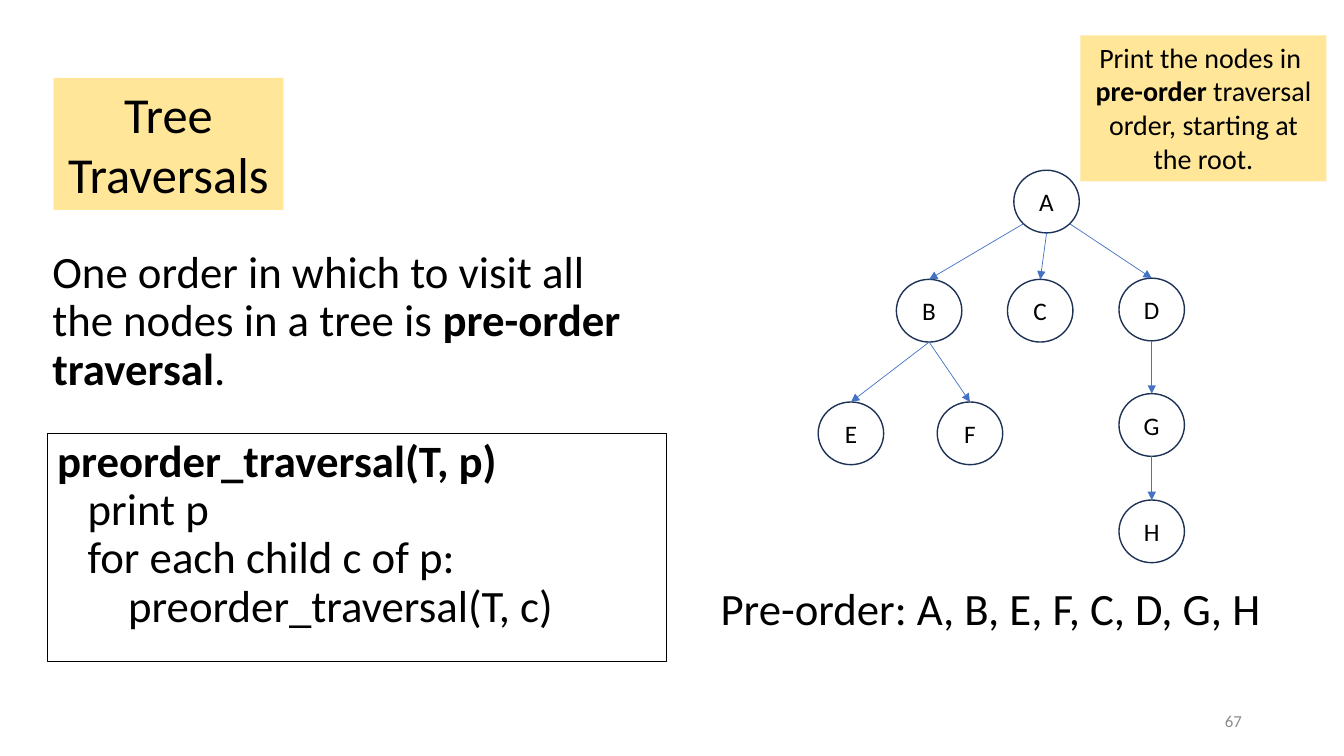
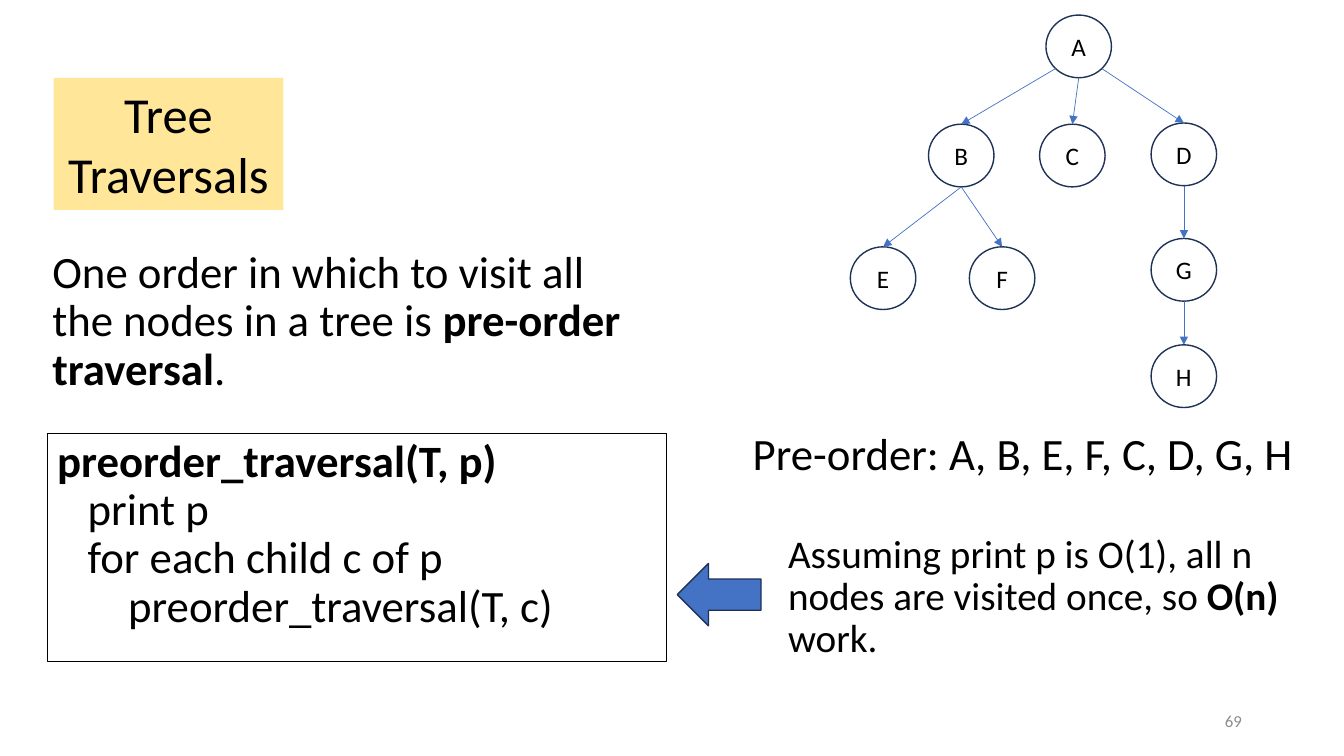
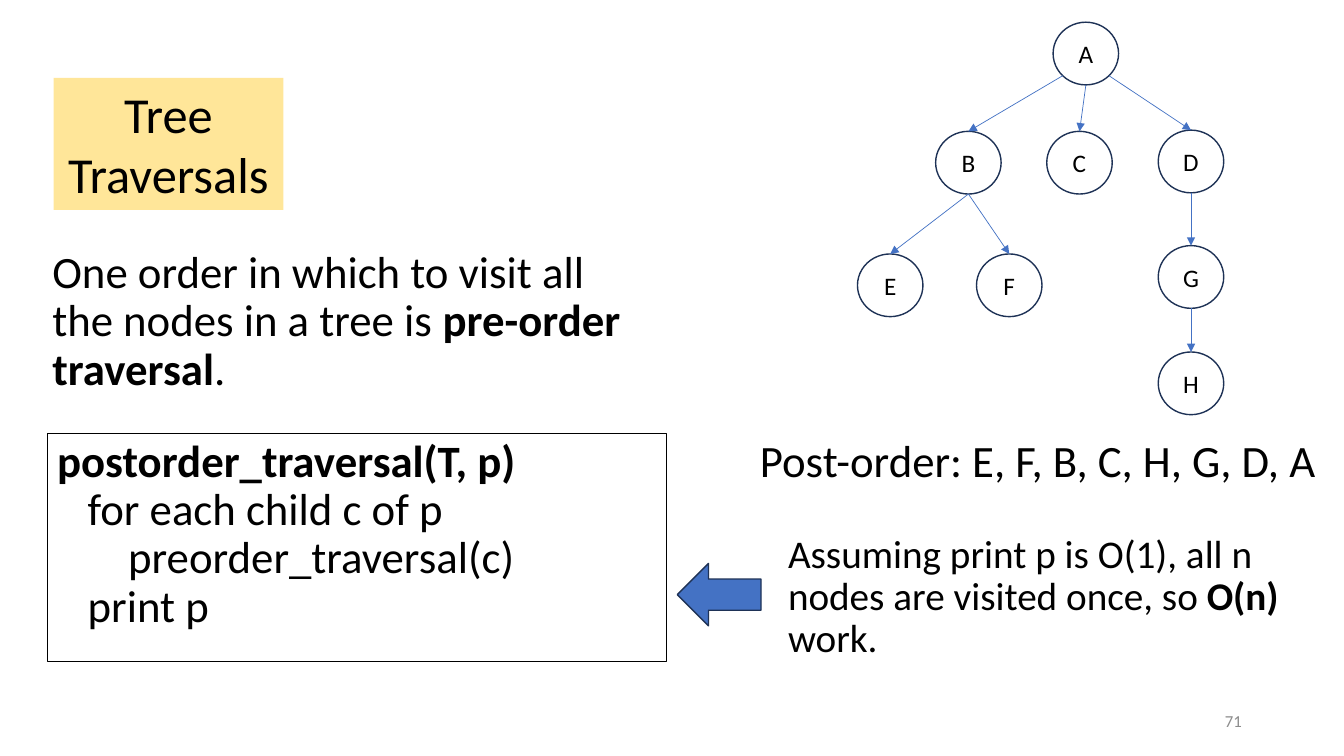
from math import sqrt

from lxml.etree import SubElement
from pptx import Presentation
from pptx.dml.color import RGBColor
from pptx.enum.shapes import MSO_CONNECTOR as Link, MSO_SHAPE as Preset
from pptx.enum.text import MSO_ANCHOR as Anchor, MSO_AUTO_SIZE as Fit, PP_ALIGN as Align
from pptx.oxml.ns import qn
from pptx.util import Cm, Pt

COLORS = {
    "ink": "000000",
    "highlight": "FFE699",
    "node_edge": "1E3256",
    "accent": "4472C4",
    "page_number": "8C8C8C",
}
FONT = "Calibri"

BODY_PARAGRAPH = {"alignment": Align.LEFT, "line_spacing": 0.9}
CENTERED = {"alignment": Align.CENTER, "line_spacing": 1.0}
STYLES = {
    "title": {"size": 36, "paragraph": CENTERED, "fill": "highlight"},
    "callout": {"size": 20, "paragraph": CENTERED, "fill": "highlight"},
    "body": {"size": 32, "paragraph": BODY_PARAGRAPH, "lead": 10},
    "code": {"size": 32, "paragraph": BODY_PARAGRAPH, "lead": 10, "edge": "ink"},
    "remark": {"size": 28, "paragraph": BODY_PARAGRAPH, "lead": 10},
    "node": {"size": 18, "paragraph": CENTERED, "frame": {
        "vertical_anchor": Anchor.MIDDLE, "word_wrap": False,
        "margin_left": 0, "margin_right": 0, "margin_top": 0, "margin_bottom": 0}},
    "page": {"size": 12, "paragraph": {"alignment": Align.RIGHT}, "color": "page_number",
             "frame": {"vertical_anchor": Anchor.MIDDLE}},
}

TITLE_BOX = (1.35, 1.96, 5.79, 3.33)
INTRO_BOX = (1.07, 6.17, 14.96, 4.01)
CODE_BOX = (1.19, 10.92, 15.62, 5.74)
CALLOUT_BOX = (27.23, 0.89, 6.2, 3.68)
ARROW_BOX = (17.07, 14.2, 2.11, 1.57)
REMARK_BOX = (19.61, 13.34, 13.08, 3.99)
PAGE_BOX = (23.93, 17.65, 7.62, 1.02)

CODE_INDENTS = (0, 0.77, 1.79)
NODE_WIDTH, NODE_HEIGHT = 1.65, 1.58
NODE_OFFSETS = {
    "A": (0, 0),
    "B": (-2.96, 2.75), "C": (-0.16, 2.75), "D": (2.65, 2.72),
    "E": (-4.93, 5.84), "F": (-1.93, 5.84), "G": (2.65, 5.63),
    "H": (2.65, 8.31),
}
DIAGONAL = 1 / sqrt(2)
EXITS = {"left": (3, -DIAGONAL, DIAGONAL), "bottom": (4, 0, 1), "right": (5, DIAGONAL, DIAGONAL)}
BRANCHES = [
    ("A", "left", "B"), ("A", "bottom", "C"), ("A", "right", "D"),
    ("B", "bottom", "E"), ("B", "bottom", "F"),
    ("D", "bottom", "G"), ("G", "bottom", "H"),
]
ORDER_OFFSET = (-7.64, 10.37)

INTRO = [[("One order in which to visit all the nodes in a tree is ", False),
          ("pre-order traversal", True), (".", False)]]
TASK = [[("Print the nodes in ", False)],
        [("pre-order", True), (" traversal order, starting at the root.", False)]]
COST = [[("Assuming print p is O(1), all n nodes are visited once, so ", False),
         ("O(n)", True), (" work.", False)]]
PRE_ORDER = "Pre-order: A, B, E, F, C, D, G, H"

TRAVERSALS = [
    {"page": "67", "root": (25.55, 4.29), "order": PRE_ORDER, "task": TASK,
     "code": [(0, "preorder_traversal(T, p)"), (1, "print p"),
              (1, "for each child c of p:"), (2, "preorder_traversal(T, c)")]},
    {"page": "69", "root": (26.36, 0.38), "order": PRE_ORDER, "cost": COST,
     "code": [(0, "preorder_traversal(T, p)"), (1, "print p"),
              (1, "for each child c of p"), (2, "preorder_traversal(T, c)")]},
    {"page": "71", "root": (26.54, 0.56), "order": "Post-order: E, F, B, C, H, G, D, A", "cost": COST,
     "code": [(0, "postorder_traversal(T, p)"), (1, "for each child c of p"),
              (2, "preorder_traversal(c)"), (1, "print p")]},
]


def rgb(name):
    return RGBColor.from_string(COLORS[name])


def lengths(box):
    return [Cm(value) for value in box]


def set_all(target, values):
    for name, value in values.items():
        setattr(target, name, value)


def plain(text):
    return [[(text, False)]]


def paint(shape, fill=None, edge=None, width=0.75):
    if fill:
        shape.fill.solid()
        shape.fill.fore_color.rgb = rgb(fill)
    else:
        shape.fill.background()
    if edge:
        shape.line.color.rgb = rgb(edge)
        shape.line.width = Pt(width)
    else:
        shape.line.fill.background()


def write(shape, paragraphs, style, indents=None):
    frame = shape.text_frame
    set_all(frame, {"word_wrap": True, "auto_size": Fit.NONE,
                    "vertical_anchor": Anchor.TOP, **style.get("frame", {})})
    for index, runs in enumerate(paragraphs):
        paragraph = frame.add_paragraph() if index else frame.paragraphs[0]
        lead = 0 if index else style.get("lead", 0)
        set_all(paragraph, {**style["paragraph"], "space_before": Pt(lead)})
        if indents:
            paragraph._p.get_or_add_pPr().set("marL", str(Cm(indents[index])))
        for text, bold in runs:
            run = paragraph.add_run()
            run.text = text
            set_all(run.font, {"name": FONT, "size": Pt(style["size"]), "bold": bold})
            run.font.color.rgb = rgb(style.get("color", "ink"))


def add_text(slide, box, paragraphs, style_name, indents=None):
    style = STYLES[style_name]
    block = slide.shapes.add_textbox(*lengths(box))
    paint(block, style.get("fill"), style.get("edge"))
    write(block, paragraphs, style, indents)


def add_title(slide, text):
    title = slide.shapes.title
    set_all(title, dict(zip(("left", "top", "width", "height"), lengths(TITLE_BOX))))
    paint(title, STYLES["title"]["fill"])
    write(title, plain(text), STYLES["title"])


def add_code(slide, lines):
    paragraphs = [[(text, level == 0)] for level, text in lines]
    add_text(slide, CODE_BOX, paragraphs, "code", [CODE_INDENTS[level] for level, _ in lines])


def add_preset(slide, preset, box, fill=None):
    shape = slide.shapes.add_shape(preset, *lengths(box))
    shape.shadow.inherit = False
    paint(shape, fill, "node_edge", 1)
    return shape


def add_branch(slide, parent, exit_name, child):
    site, across, down = EXITS[exit_name]
    start_x = parent.left + int(parent.width * (1 + across) / 2)
    start_y = parent.top + int(parent.height * (1 + down) / 2)
    branch = slide.shapes.add_connector(Link.STRAIGHT, start_x, start_y, child.left, child.top)
    joints = branch._element.nvCxnSpPr.cNvCxnSpPr
    SubElement(joints, qn("a:stCxn"), id=str(parent.shape_id), idx=str(site))
    branch.end_connect(child, 0)
    branch.line.color.rgb = rgb("accent")
    branch.line.width = Pt(0.5)
    SubElement(branch.line._get_or_add_ln(), qn("a:tailEnd"), type="triangle")
    SubElement(branch._element.spPr, qn("a:effectLst"))


def add_tree(slide, root):
    nodes = {}
    for letter, (across, down) in NODE_OFFSETS.items():
        box = (root[0] + across, root[1] + down, NODE_WIDTH, NODE_HEIGHT)
        nodes[letter] = add_preset(slide, Preset.OVAL, box)
        write(nodes[letter], plain(letter), STYLES["node"])
    for parent, exit_name, child in BRANCHES:
        add_branch(slide, nodes[parent], exit_name, nodes[child])


def add_traversal(deck, traversal):
    slide = deck.slides.add_slide(deck.slide_layouts[5])
    root = traversal["root"]
    add_title(slide, "Tree Traversals")
    add_text(slide, INTRO_BOX, INTRO, "body")
    add_code(slide, traversal["code"])
    add_tree(slide, root)
    order_box = (root[0] + ORDER_OFFSET[0], root[1] + ORDER_OFFSET[1], 14.96, 2.34)
    add_text(slide, order_box, plain(traversal["order"]), "body")
    if "task" in traversal:
        add_text(slide, CALLOUT_BOX, traversal["task"], "callout")
    if "cost" in traversal:
        add_preset(slide, Preset.LEFT_ARROW, ARROW_BOX, "accent")
        add_text(slide, REMARK_BOX, traversal["cost"], "remark")
    add_text(slide, PAGE_BOX, plain(traversal["page"]), "page")


def main():
    deck = Presentation()
    set_all(deck, {"slide_width": Cm(33.87), "slide_height": Cm(19.05)})
    for traversal in TRAVERSALS:
        add_traversal(deck, traversal)
    deck.save("out.pptx")


if __name__ == "__main__":
    main()
